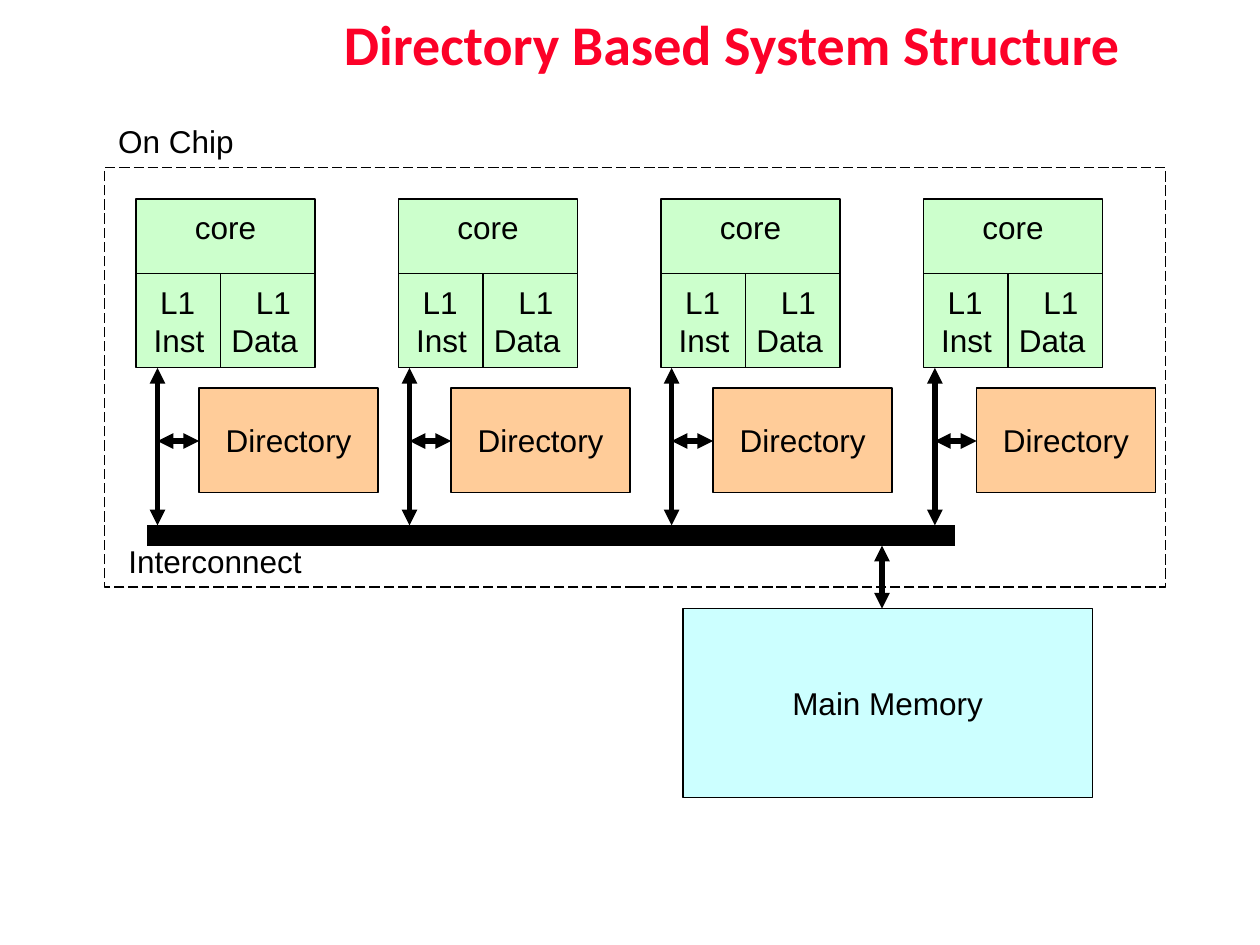
from dataclasses import dataclass

from lxml import etree
from pptx import Presentation
from pptx import util as u
from pptx.dml.color import RGBColor
from pptx.enum import dml, shapes, text
from pptx.oxml import ns


@dataclass(frozen=True)
class Theme:
    title_font: str = "Calibri"
    body_font: str = "Arial"
    title_size: int = 32
    body_size: int = 18
    title: str = "FC0128"
    ink: str = "000000"
    core: str = "CCFFCC"
    directory: str = "FFCC99"
    memory: str = "CCFFFF"
    outline: float = 0.75
    divider: float = 1
    arrow: float = 3
    bus: float = 12


THEME = Theme()
CENTER = text.PP_ALIGN.CENTER
CORE_PITCH = 25 / 12
CORE_LEFT, CORE_TOP, CORE_BOTTOM = 1.08, 1.58, 2.92
BOX_WIDTH = 1.42
CACHE_TOP = 2.17
LINK_XS = (1.25, 3.25, 5.33, 7.42)
BUS_Y = 4.25


def color(value):
    return RGBColor.from_string(value)


def add_run(paragraph, words, font=THEME.body_font, size=THEME.body_size,
            ink=THEME.ink, bold=False):
    run = paragraph.add_run()
    run.text = words
    run.font.name = font
    run.font.size = u.Pt(size)
    run.font.bold = bold
    run.font.color.rgb = color(ink)


def add_box(slide, left, top, width, height, fill=None, label=None):
    shape = slide.shapes.add_shape(
        shapes.MSO_SHAPE.RECTANGLE, *map(u.Inches, (left, top, width, height)))
    shape.shadow.inherit = False
    if fill:
        shape.fill.solid()
        shape.fill.fore_color.rgb = color(fill)
    else:
        shape.fill.background()
    shape.line.color.rgb = color(THEME.ink)
    shape.line.width = u.Pt(THEME.outline)
    frame = shape.text_frame
    frame.word_wrap = False
    frame.vertical_anchor = text.MSO_ANCHOR.MIDDLE
    if label:
        frame.paragraphs[0].alignment = CENTER
        add_run(frame.paragraphs[0], label)
    return shape


def add_line(slide, start, end, width, arrows=False):
    line = slide.shapes.add_connector(
        shapes.MSO_CONNECTOR.STRAIGHT, *map(u.Inches, (*start, *end)))
    line.line.color.rgb = color(THEME.ink)
    line.line.width = u.Pt(width)
    if arrows:
        outline = line.line._get_or_add_ln()
        for tag in ("a:headEnd", "a:tailEnd"):
            etree.SubElement(outline, ns.qn(tag), type="triangle")
    etree.SubElement(line._element.spPr, ns.qn("a:effectLst"))


def add_label(slide, left, top, width, words):
    label = slide.shapes.add_textbox(*map(u.Inches, (left, top, width, 0.4)))
    label.text_frame.word_wrap = True
    add_run(label.text_frame.paragraphs[0], words)


def add_title(slide, words):
    title = slide.shapes.add_textbox(*map(u.Inches, (1.72, 0, 8.28, 0.75)))
    frame = title.text_frame
    frame.word_wrap = True
    frame.vertical_anchor = text.MSO_ANCHOR.MIDDLE
    paragraph = frame.paragraphs[0]
    paragraph.alignment = CENTER
    paragraph.line_spacing = 0.9
    add_run(paragraph, words, THEME.title_font, THEME.title_size, THEME.title, True)


def add_cache_row(frame, cells):
    """Centre each cache name on its own tab stop."""
    paragraph = frame.add_paragraph()
    paragraph.alignment = text.PP_ALIGN.LEFT
    stops = etree.SubElement(paragraph._p.get_or_add_pPr(), ns.qn("a:tabLst"))
    for name, center in cells:
        etree.SubElement(stops, ns.qn("a:tab"), pos=str(u.Inches(center)), algn="ctr")
        add_run(paragraph, "\t" + name)


def add_core(slide, left):
    core = add_box(slide, left, CORE_TOP, BOX_WIDTH, CORE_BOTTOM - CORE_TOP,
                   THEME.core, "core")
    frame = core.text_frame
    frame.word_wrap = True
    frame.margin_left = frame.margin_right = 0
    frame.paragraphs[0].space_after = u.Pt(21)
    add_cache_row(frame, (("L1", 0.33), ("L1", 1.09)))
    add_cache_row(frame, (("Inst", 0.34), ("Data", 1.02)))
    middle = left + 0.67
    add_line(slide, (left, CACHE_TOP), (left + BOX_WIDTH, CACHE_TOP), THEME.divider)
    add_line(slide, (middle, CACHE_TOP), (middle, CORE_BOTTOM), THEME.divider)


def add_directory(slide, link_x):
    """Link a core to the bus and hang its directory on the link."""
    left = link_x + 0.33
    add_line(slide, (link_x, CORE_BOTTOM), (link_x, 4.17), THEME.arrow, arrows=True)
    add_box(slide, left, 3.08, BOX_WIDTH, 0.83, THEME.directory, "Directory")
    add_line(slide, (left, 3.5), (link_x, 3.5), THEME.arrow, arrows=True)


def add_chip_frame(slide):
    frame = add_box(slide, 0.83, 1.33, 8.42, 3.33)
    frame.line.dash_style = dml.MSO_LINE.LONG_DASH


def main():
    presentation = Presentation()
    presentation.slide_width = u.Inches(10)
    presentation.slide_height = u.Inches(7.5)
    slide = presentation.slides.add_slide(presentation.slide_layouts[6])

    add_title(slide, "Directory Based System Structure ")
    for index in range(len(LINK_XS)):
        add_core(slide, CORE_LEFT + index * CORE_PITCH)
    add_line(slide, (1.17, BUS_Y), (7.58, BUS_Y), THEME.bus)
    add_box(slide, 5.42, 4.83, 3.25, 1.5, THEME.memory, "Main Memory")
    add_line(slide, (7, 4.33), (7, 4.83), THEME.arrow, arrows=True)
    add_chip_frame(slide)
    add_label(slide, 0.84, 0.92, 1.2, "On Chip")
    add_label(slide, 0.92, BUS_Y, 1.7, "Interconnect")
    for link_x in LINK_XS:
        add_directory(slide, link_x)

    presentation.save("out.pptx")


if __name__ == "__main__":
    main()
